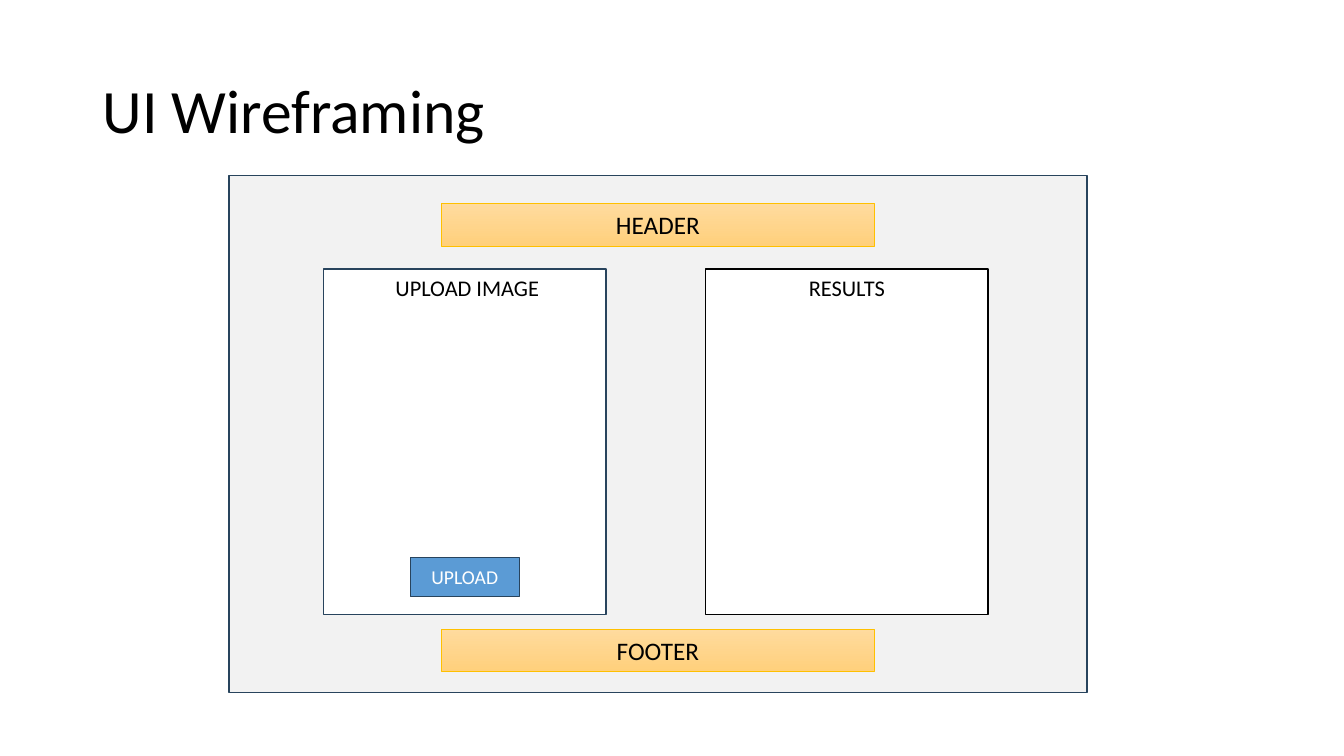
from pptx import Presentation
from pptx.dml.color import RGBColor
from pptx.enum.shapes import MSO_SHAPE as Shape
from pptx.enum.text import MSO_ANCHOR as Anchor, PP_ALIGN as Align
from pptx.util import Inches, Pt

FONT = "Calibri"
NAVY, BLACK, WHITE, GOLD = "28445D", "000000", "FFFFFF", "FFC000"
BAR_GRADIENT = ("FFDB9E", "FFD07C")

TITLE = "UI Wireframing"
PAGE = (2.27, 1.74, 8.51, 5.13)
PANELS = [(" UPLOAD IMAGE", 3.21, NAVY), ("RESULTS", 7, BLACK)]
PANEL_TOP, PANEL_WIDTH, PANEL_HEIGHT = 2.67, 2.8, 3.43
BUTTON = "UPLOAD"
BUTTON_TOP, BUTTON_WIDTH, BUTTON_HEIGHT = 5.53, 1.08, 0.39
BARS = [("HEADER", 2.02), ("FOOTER", 6.24)]
BAR_WIDTH, BAR_HEIGHT = 4.29, 0.42


def rgb(color):
    return RGBColor.from_string(color)


def write(frame, text, size, color, align, anchor):
    frame.word_wrap = True
    frame.vertical_anchor = anchor
    paragraph = frame.paragraphs[0]
    paragraph.alignment = align
    run = paragraph.add_run()
    run.text = text
    run.font.name = FONT
    run.font.size = Pt(size)
    run.font.color.rgb = rgb(color)
    return paragraph


def add_box(slide, place, fill, line, line_width=1):
    """Draw a rectangle; a pair of fill colours gives a top-to-bottom gradient."""
    box = slide.shapes.add_shape(Shape.RECTANGLE, *map(Inches, place))
    box.shadow.inherit = False
    if isinstance(fill, tuple):
        box.fill.gradient()
        box.fill.gradient_angle = 270
        for stop, color in zip(box.fill.gradient_stops, fill):
            stop.color.rgb = rgb(color)
    else:
        box.fill.solid()
        box.fill.fore_color.rgb = rgb(fill)
    box.line.color.rgb = rgb(line)
    box.line.width = Pt(line_width)
    return box


def main():
    deck = Presentation()
    deck.slide_width, deck.slide_height = Inches(13.33), Inches(7.5)
    slide = deck.slides.add_slide(deck.slide_layouts[6])

    add_box(slide, PAGE, "F2F2F2", NAVY)

    for label, left, outline in PANELS:
        panel = add_box(slide, (left, PANEL_TOP, PANEL_WIDTH, PANEL_HEIGHT), WHITE, outline)
        write(panel.text_frame, label, 16, BLACK, Align.CENTER, Anchor.TOP)

    upload_left = PANELS[0][1]
    button_left = upload_left + (PANEL_WIDTH - BUTTON_WIDTH) / 2
    button = add_box(slide, (button_left, BUTTON_TOP, BUTTON_WIDTH, BUTTON_HEIGHT), "5B9BD5", NAVY)
    write(button.text_frame, BUTTON, 14, WHITE, Align.CENTER, Anchor.MIDDLE)

    title = slide.shapes.add_textbox(Inches(0.92), Inches(0.4), Inches(11.5), Inches(1.45))
    heading = write(title.text_frame, TITLE, 44, BLACK, Align.LEFT, Anchor.MIDDLE)
    heading.line_spacing = 0.9

    bar_left = PAGE[0] + (PAGE[2] - BAR_WIDTH) / 2
    for label, top in BARS:
        bar = add_box(slide, (bar_left, top, BAR_WIDTH, BAR_HEIGHT), BAR_GRADIENT, GOLD, 0.5)
        write(bar.text_frame, label, 18, BLACK, Align.CENTER, Anchor.MIDDLE)

    deck.save("out.pptx")


if __name__ == "__main__":
    main()
